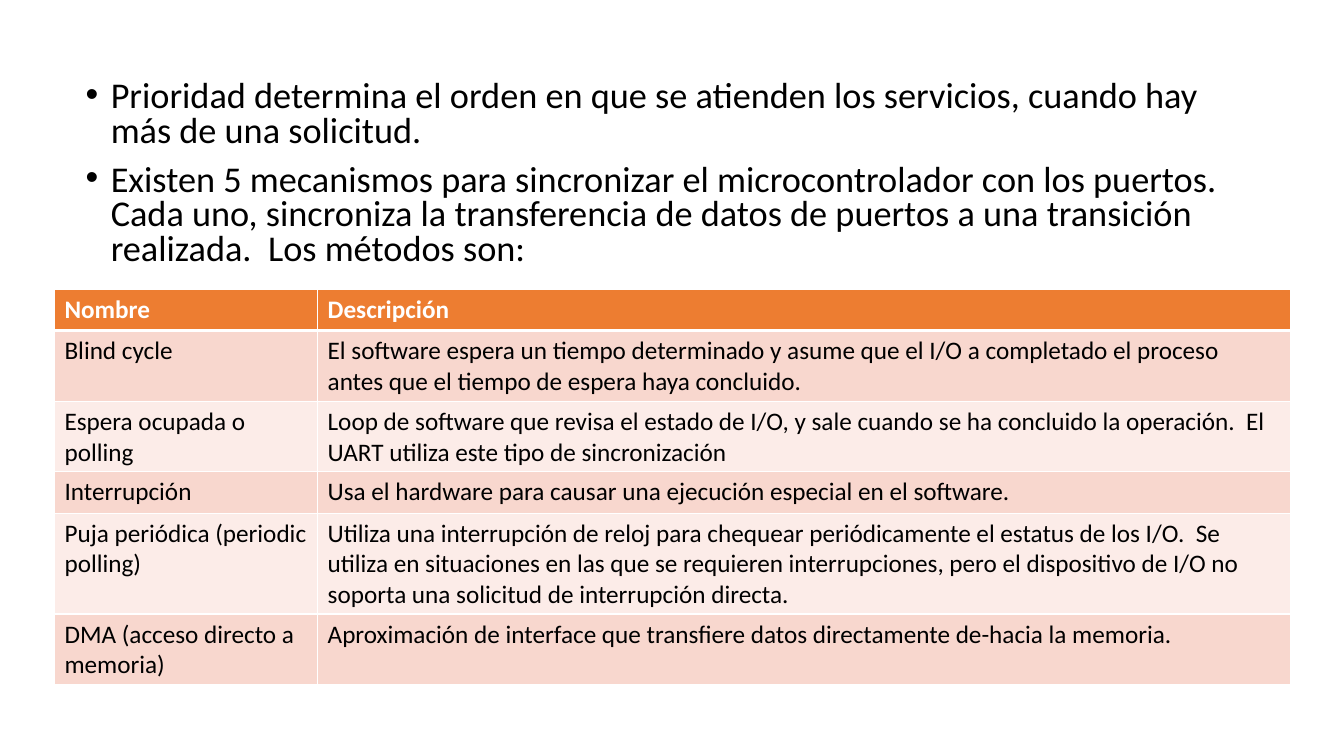
"""Build the slide on priority and the five port synchronization methods."""
from lxml import etree
from pptx import Presentation
from pptx.dml.color import RGBColor
from pptx.enum.text import MSO_ANCHOR
from pptx.oxml.ns import qn
from pptx.util import Inches, Pt

TOP = MSO_ANCHOR.TOP
WHITE = RGBColor(0xFF, 0xFF, 0xFF)
BLACK = RGBColor(0, 0, 0)
ORANGE = RGBColor(0xED, 0x7D, 0x31)
ROSE = RGBColor(0xF8, 0xD7, 0xCE)
PALE = RGBColor(0xFC, 0xEC, 0xE8)

POINTS = [
    "Prioridad determina el orden en que se atienden los servicios, cuando hay más de una solicitud.",
    "Existen 5 mecanismos para sincronizar el microcontrolador con los puertos.  Cada uno, "
    "sincroniza la transferencia de datos de puertos a una transición realizada.  Los métodos son:",
]
METHODS = [
    ("Nombre", "Descripción"),
    ("Blind cycle",
     "El software espera un tiempo determinado y asume que el I/O a completado el proceso "
     "antes que el tiempo de espera haya concluido."),
    ("Espera ocupada o polling",
     "Loop de software que revisa el estado de I/O, y sale cuando se ha concluido la operación.  "
     "El UART utiliza este tipo de sincronización"),
    ("Interrupción",
     "Usa el hardware para causar una ejecución especial en el software. "),
    ("Puja periódica (periodic polling)",
     "Utiliza una interrupción de reloj para chequear periódicamente el estatus de los I/O.  "
     "Se utiliza en situaciones en las que se requieren interrupciones, pero el dispositivo "
     "de I/O no soporta una solicitud de interrupción directa."),
    ("DMA (acceso directo a memoria)",
     "Aproximación de interface que transfiere datos directamente de-hacia la memoria."),
]


def style(run, size, color, bold=False):
    run.font.name = "Calibri"
    run.font.size = Pt(size)
    run.font.color.rgb = color
    run.font.bold = bold


def border(cell, side, width):
    line = etree.SubElement(cell._tc.get_or_add_tcPr(), qn(f"a:ln{side}"), w=str(Pt(width)))
    fill = etree.SubElement(line, qn("a:solidFill"))
    etree.SubElement(fill, qn("a:srgbClr"), val=str(WHITE))


deck = Presentation()
deck.slide_width = Inches(13.33)
deck.slide_height = Inches(7.5)
slide = deck.slides.add_slide(deck.slide_layouts[6])

intro = slide.shapes.add_textbox(Inches(0.75), Inches(0.75), Inches(11.82), Inches(2))
frame = intro.text_frame
frame.word_wrap = True
frame.vertical_anchor = TOP
frame.text = "\n".join(POINTS)
for para in frame.paragraphs:
    para.line_spacing = 0.8
    para.space_before = Pt(10)
    props = para._p.get_or_add_pPr()
    props.set("marL", str(Inches(0.25)))
    props.set("indent", str(Inches(-0.25)))
    etree.SubElement(props, qn("a:buFont"), typeface="Arial")
    etree.SubElement(props, qn("a:buChar"), char="•")
    style(para.runs[0], 25.9, BLACK)

grid = slide.shapes.add_table(len(METHODS), 2, Inches(0.54), Inches(2.87),
                              Inches(12.26), Inches(0.41 * len(METHODS))).table
for col, width in zip(grid.columns, (2.61, 9.65)):
    col.width = Inches(width)
for i, method in enumerate(METHODS):
    head = i == 0
    shade = ORANGE if head else ROSE if i % 2 else PALE
    for j, text in enumerate(method):
        cell = grid.cell(i, j)
        cell.text = text
        style(cell.text_frame.paragraphs[0].runs[0], 18, WHITE if head else BLACK, head)
        for side in "LRTB":
            thick = (head and side == "B") or (i == 1 and side == "T")
            border(cell, side, 3 if thick else 1)
        cell.fill.solid()
        cell.fill.fore_color.rgb = shade

deck.save("out.pptx")
